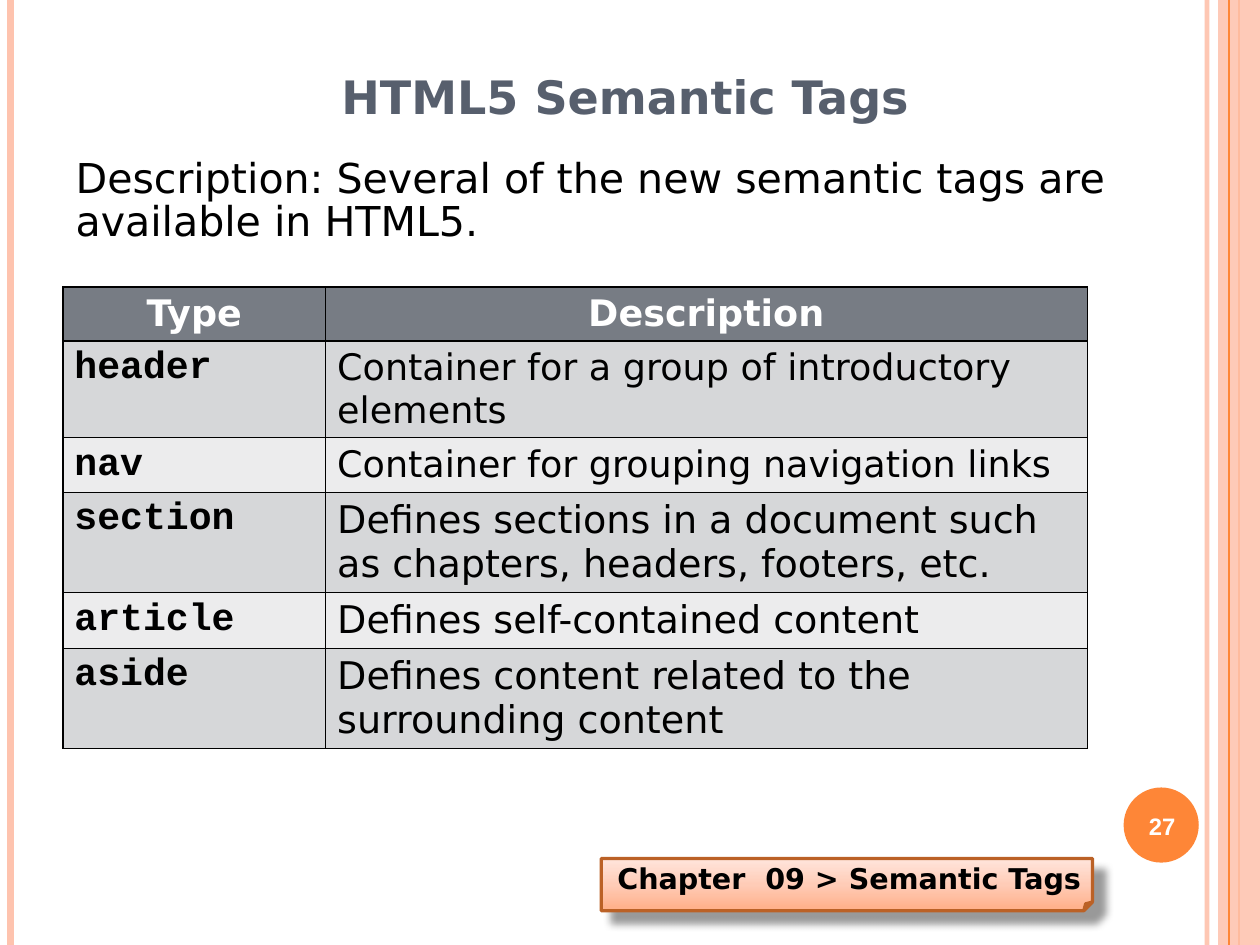
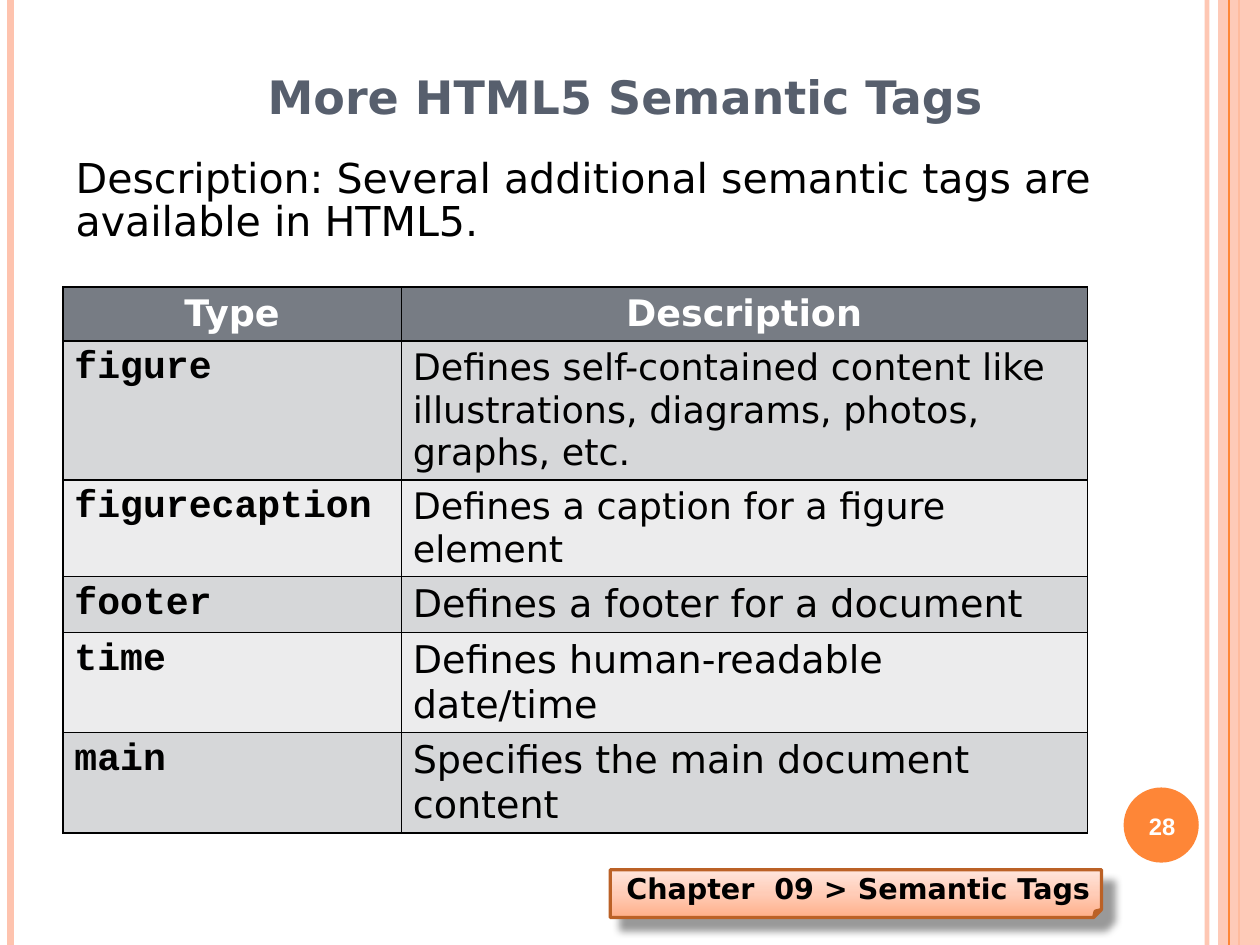
from copy import deepcopy

from lxml import etree
from pptx import Presentation
from pptx import util as u
from pptx.dml.color import RGBColor
from pptx.enum import shapes, text
from pptx.oxml.ns import qn

PEACH = RGBColor(0xFE, 0xC3, 0xAE)
ORANGE = RGBColor(0xFE, 0x86, 0x37)
RUST = RGBColor(0xBB, 0x61, 0x26)
SLATE = RGBColor(0x57, 0x5F, 0x6D)
HEADER_GREY = RGBColor(0x77, 0x7C, 0x84)
BAND_DARK = RGBColor(0xD6, 0xD7, 0xD9)
BAND_LIGHT = RGBColor(0xEC, 0xEC, 0xED)
BLACK = RGBColor(0, 0, 0)
WHITE = RGBColor(0xFF, 0xFF, 0xFF)
TAG_GRADIENT = [
    RGBColor(0xFF, 0xAE, 0x87),
    RGBColor(0xFF, 0xCC, 0xB7),
    RGBColor(0xFF, 0xE5, 0xDC),
]

SANS = "DejaVu Sans"
CODE = "Courier New"
WIDTH, HEIGHT = 28, 21
CENTER = text.PP_ALIGN.CENTER

SLIDES = [
    {
        "title": "HTML5 Semantic Tags",
        "description": "Description: Several of the new semantic tags are available in HTML5.",
        "number": 27,
        "columns": (5.84, 16.92),
        "tag_box": (13.36, 19.08, 10.92, 1.16),
        "rows": [
            ("header", "Container for a group of introductory elements"),
            ("nav", "Container for grouping navigation links"),
            ("section", "Defines sections in a document such as chapters, headers, footers, etc."),
            ("article", "Defines self-contained content"),
            ("aside", "Defines content related to the surrounding content"),
        ],
    },
    {
        "title": "More HTML5 Semantic Tags",
        "description": "Description: Several additional semantic tags are available in HTML5.",
        "number": 28,
        "columns": (7.52, 15.24),
        "tag_box": (13.56, 19.33, 10.92, 1.06),
        "rows": [
            ("figure", "Defines self-contained content like illustrations, diagrams, photos, graphs, etc."),
            ("figurecaption", "Defines a caption for a figure element"),
            ("footer", "Defines a footer for a document"),
            ("time", "Defines human-readable date/time"),
            ("main", "Specifies the main document content"),
        ],
    },
]


def cm_box(box):
    return [u.Cm(length) for length in box]


def add_element(parent, tag, **attributes):
    element = etree.SubElement(parent, qn(tag))
    for name, value in attributes.items():
        element.set(name, str(value))
    return element


def add_color(parent, color, opacity=100):
    element = add_element(parent, "a:srgbClr", val=color)
    if opacity < 100:
        add_element(element, "a:alpha", val=opacity * 1000)


def set_opacity(shape, opacity):
    color = shape.element.spPr.find(".//" + qn("a:srgbClr"))
    add_element(color, "a:alpha", val=opacity * 1000)


def write(frame, content, size, color, font=SANS, bold=False, align=None):
    paragraph = frame.paragraphs[0]
    paragraph.alignment = align
    run = paragraph.add_run()
    run.text = content
    run.font.name = font
    run.font.size = u.Pt(size)
    run.font.bold = bold
    run.font.color.rgb = color
    return paragraph


def set_frame(frame, top, bottom, anchor):
    frame.word_wrap = True
    frame.auto_size = text.MSO_AUTO_SIZE.NONE
    frame.margin_left = frame.margin_right = u.Cm(0.28)
    frame.margin_top, frame.margin_bottom = u.Cm(top), u.Cm(bottom)
    frame.vertical_anchor = anchor


def move(shape, box):
    shape.left, shape.top, shape.width, shape.height = cm_box(box)


def add_rule(slide, x, color, width, opacity=100):
    rule = slide.shapes.add_connector(
        shapes.MSO_CONNECTOR.STRAIGHT, *cm_box((x, 0, x, HEIGHT)))
    rule.line.color.rgb = color
    rule.line.width = u.Pt(width)
    add_element(rule.element.spPr, "a:effectLst")
    if opacity < 100:
        set_opacity(rule, opacity)
    return rule


def add_plain_shape(slide, kind, box, color):
    shape = slide.shapes.add_shape(kind, *cm_box(box))
    shape.shadow.inherit = False
    shape.fill.solid()
    shape.fill.fore_color.rgb = color
    shape.line.fill.background()
    return shape


def decorate_layout(layout, slide):
    band = add_plain_shape(
        slide, shapes.MSO_SHAPE.RECTANGLE, (27.07, 0, WIDTH - 27.07, HEIGHT), PEACH)
    set_opacity(band, 87)
    decorations = [
        add_rule(slide, 26.82, PEACH, 3, 93),
        add_rule(slide, 0.23, PEACH, 4.5),
        add_rule(slide, 27.53, ORANGE, 1.5),
        band,
        add_rule(slide, 27.31, ORANGE, 0.75),
        add_plain_shape(slide, shapes.MSO_SHAPE.OVAL, (24.97, 17.5, 1.67, 1.67), ORANGE),
    ]
    for decoration in decorations:
        layout.shapes.element.append(decoration.element)


def remove_footer_placeholders(layout):
    for placeholder in list(layout.placeholders):
        if placeholder.placeholder_format.idx >= 10:
            placeholder.element.getparent().remove(placeholder.element)


def fill_title(slide, content):
    title = slide.shapes.title
    move(title, (1.4, 0.84, 25, 2.66))
    set_frame(title.text_frame, 0.1, 0.15, text.MSO_ANCHOR.MIDDLE)
    write(title.text_frame, content, 29, SLATE, bold=True, align=CENTER)


def fill_description(slide, content):
    body = slide.placeholders[1]
    move(body, (1.4, 3.5, 25, 2.2))
    set_frame(body.text_frame, 0.03, 0.15, text.MSO_ANCHOR.TOP)
    paragraph = write(body.text_frame, content, 25.9, BLACK, align=text.PP_ALIGN.LEFT)
    paragraph.line_spacing = 0.87
    paragraph.space_before = u.Pt(0)
    properties = paragraph._p.get_or_add_pPr()
    properties.set("marL", "0")
    properties.set("indent", "0")
    add_element(properties, "a:buNone")


def add_slide_number(slide, number):
    box = slide.shapes.add_textbox(*cm_box((24.9, 17.55, 1.85, 1.6)))
    set_frame(box.text_frame, 0.15, 0.15, text.MSO_ANCHOR.MIDDLE)
    write(box.text_frame, str(number), 15, WHITE, "Arial", True, CENTER)


def format_cell(cell, color):
    properties = cell._tc.get_or_add_tcPr()
    for side in ("a:lnL", "a:lnR", "a:lnT", "a:lnB"):
        border = add_element(properties, side, w=u.Pt(1))
        add_color(add_element(border, "a:solidFill"), BLACK)
    cell.fill.solid()
    cell.fill.fore_color.rgb = color


def add_tag_table(slide, columns, rows):
    heights = [1.05, 1.32] + [1.05] * (len(rows) - 1)
    frame = slide.shapes.add_table(
        len(heights), len(columns), *cm_box((1.4, 6.38, sum(columns), sum(heights))))
    table = frame.table
    table.horz_banding = False
    for column, width in zip(table.columns, columns):
        column.width = u.Cm(width)
    for row, height in zip(table.rows, heights):
        row.height = u.Cm(height)

    for cell, heading in zip(table.rows[0].cells, ("Type", "Description")):
        format_cell(cell, HEADER_GREY)
        write(cell.text_frame, heading, 23, WHITE, bold=True, align=CENTER)
    for index, (tag, meaning) in enumerate(rows, 1):
        tag_cell, meaning_cell = table.rows[index].cells
        for cell in (tag_cell, meaning_cell):
            format_cell(cell, BAND_DARK if index % 2 else BAND_LIGHT)
        write(tag_cell.text_frame, tag, 24, BLACK, CODE, True)
        write(meaning_cell.text_frame, meaning, 23 if index <= 2 else 24, BLACK)


def fill_gradient(shape, colors):
    shape.fill.gradient()
    shape.fill.gradient_angle = 90
    stop_list = shape.element.spPr.find(".//" + qn("a:gsLst"))
    stop_list.insert(1, deepcopy(stop_list[0]))
    for index, (stop, color) in enumerate(zip(shape.fill.gradient_stops, colors)):
        stop.position = index / (len(colors) - 1)
        stop.color.rgb = color


def add_shadow(shape):
    shape.shadow.inherit = False
    effects = shape.element.spPr.find(qn("a:effectLst"))
    shadow = add_element(effects, "a:outerShdw", blurRad=u.Pt(5), dist=u.Pt(10),
                         dir=45 * 60000, algn="tl", rotWithShape=0)
    add_color(shadow, BLACK, 40)


def add_chapter_tag(slide, box):
    tag = slide.shapes.add_shape(shapes.MSO_SHAPE.FOLDED_CORNER, *cm_box(box))
    fill_gradient(tag, TAG_GRADIENT)
    tag.line.color.rgb = RUST
    tag.line.width = u.Pt(2)
    add_shadow(tag)
    frame = tag.text_frame
    frame.word_wrap = False
    frame.vertical_anchor = text.MSO_ANCHOR.MIDDLE
    paragraph = write(frame, "Chapter  09 > Semantic Tags", 18, BLACK,
                      bold=True, align=text.PP_ALIGN.RIGHT)
    paragraph.line_spacing = 0.93


def main():
    presentation = Presentation()
    presentation.slide_width, presentation.slide_height = u.Cm(WIDTH), u.Cm(HEIGHT)
    layout = presentation.slide_layouts[1]
    remove_footer_placeholders(layout)
    for index, content in enumerate(SLIDES):
        slide = presentation.slides.add_slide(layout)
        if index == 0:
            decorate_layout(layout, slide)
        fill_title(slide, content["title"])
        fill_description(slide, content["description"])
        add_slide_number(slide, content["number"])
        add_tag_table(slide, content["columns"], content["rows"])
        add_chapter_tag(slide, content["tag_box"])
    presentation.save("out.pptx")


if __name__ == "__main__":
    main()
